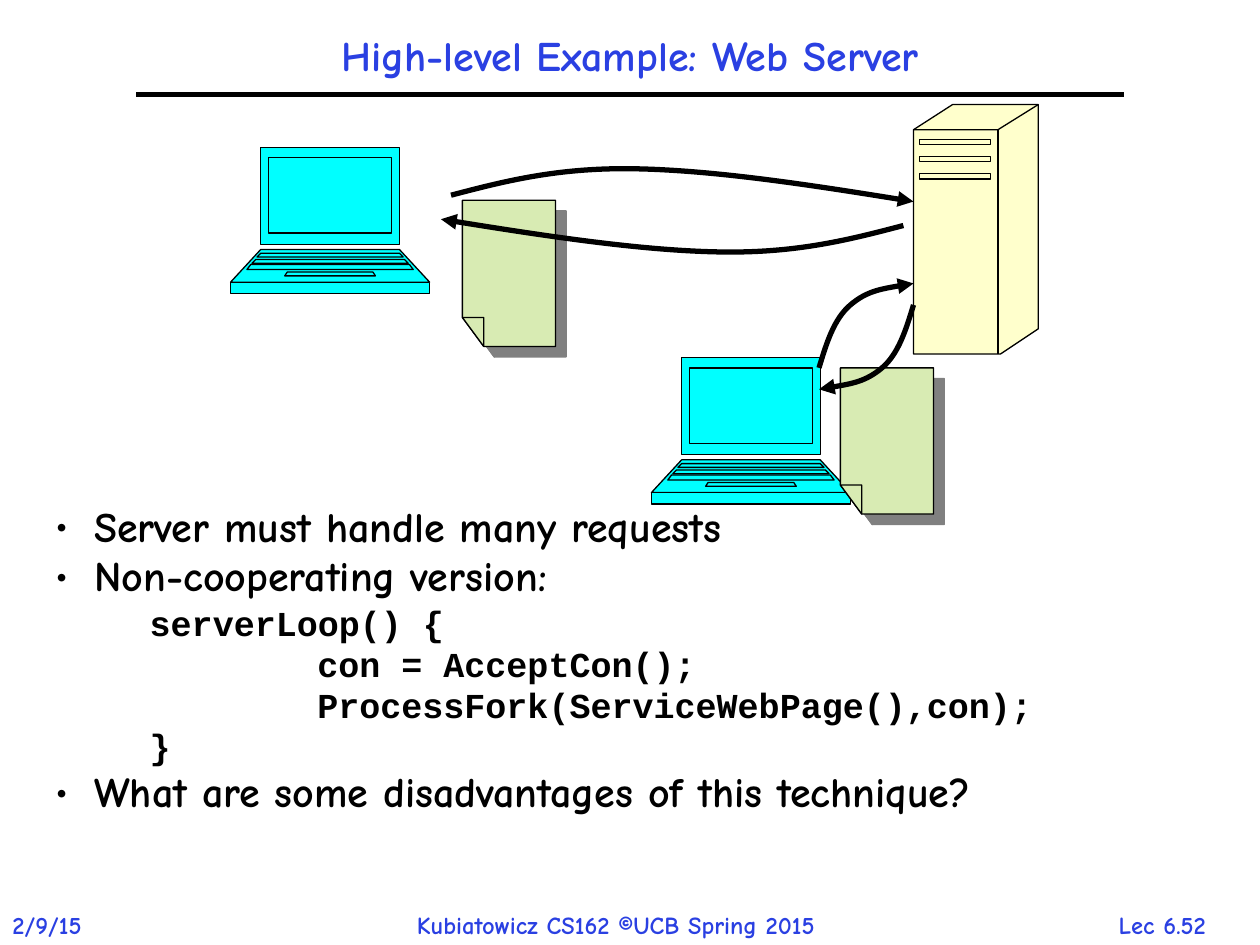
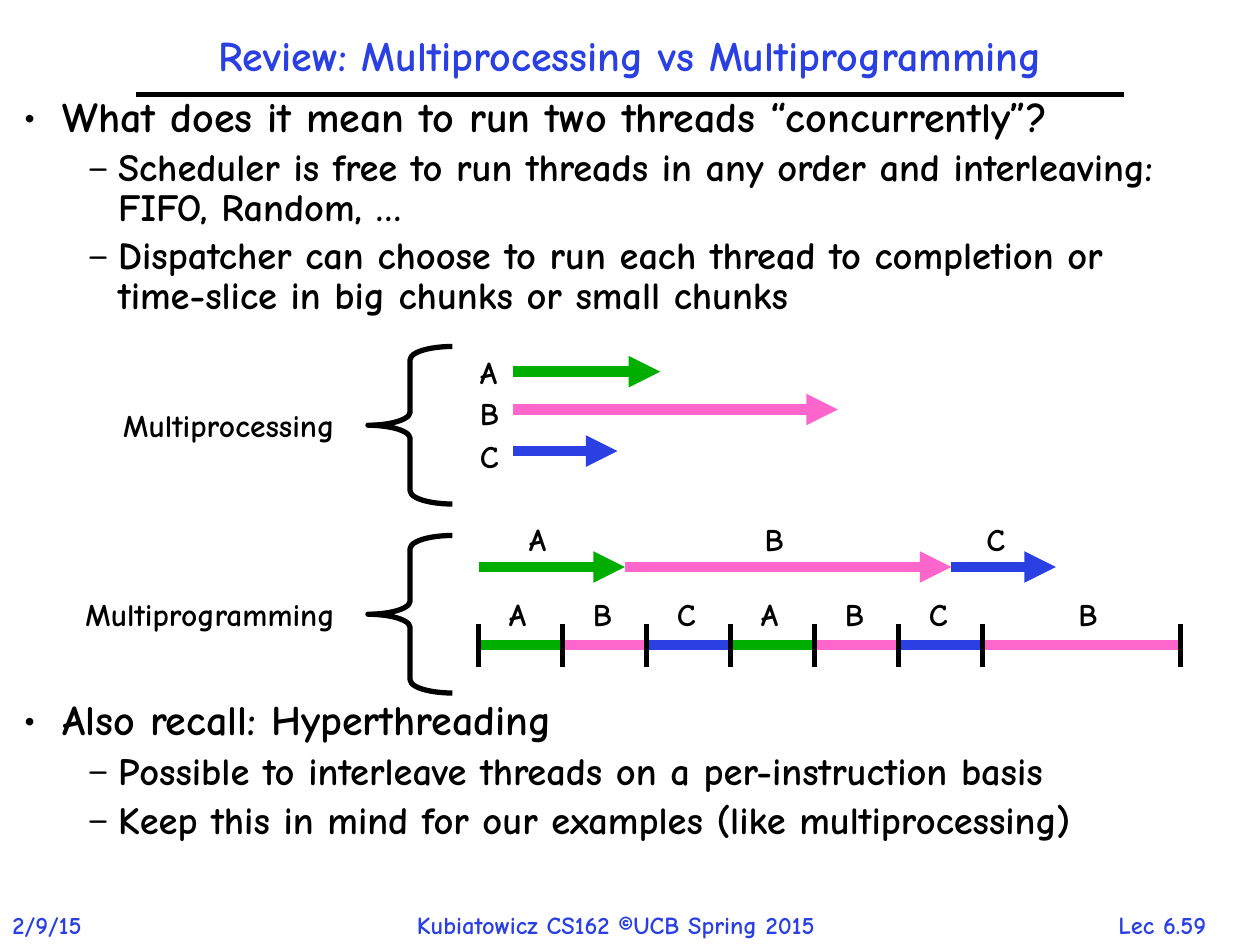
from dataclasses import dataclass

from pptx import Presentation
from pptx.dml.color import RGBColor
from pptx.enum.shapes import MSO_CONNECTOR, MSO_SHAPE
from pptx.enum.text import MSO_ANCHOR, PP_ALIGN
from pptx.oxml.ns import qn
from pptx.oxml.xmlchemy import OxmlElement
from pptx.util import Inches, Pt

LEFT, CENTER = PP_ALIGN.LEFT, PP_ALIGN.CENTER
TOP, MIDDLE = MSO_ANCHOR.TOP, MSO_ANCHOR.MIDDLE
STRAIGHT, BRACE = MSO_CONNECTOR.STRAIGHT, MSO_SHAPE.LEFT_BRACE


@dataclass(frozen=True)
class Theme:
    ink: str = "000000"
    blue: str = "2A40E2"
    green: str = "00AE00"
    pink: str = "FF66CC"
    cyan: str = "00FFFF"
    cream: str = "FFFFCC"
    leaf: str = "D8EBB3"
    shade: str = "808080"
    font: str = "Comic Neue"
    mono: str = "Courier New"
    head: int = 24
    sub: int = 22
    code: int = 20
    label: int = 18
    foot: int = 14
    thin: float = 0.75
    bold: float = 3
    bar: float = 6


T = Theme()
THREADS = {"A": T.green, "B": T.pink, "C": T.blue}

BULLET = dict(margin=0.31, hang=0.31, mark="•")
DASH = dict(margin=0.75, hang=0.25, mark="–", size=T.sub)
CODE = dict(margin=0.75, hang=0, mark=None, font=T.mono, size=T.code, gap=4.2)
INNER = CODE | dict(margin=2.08)


def node(parent, tag, **attrs):
    item = OxmlElement(tag)
    for key, value in attrs.items():
        item.set(key, str(value))
    parent.append(item)
    return item


def format_para(para, text, size=T.label, font=T.font, color=T.ink, align=LEFT,
                lines=None, gap=0, margin=0, hang=0, mark=None):
    para.alignment = align
    para.space_before = Pt(gap)
    if lines:
        para.line_spacing = lines
    run = para.add_run()
    run.text = text
    run.font.size, run.font.name, run.font.bold = Pt(size), font, True
    run.font.color.rgb = RGBColor.from_string(color)
    props = para._p.get_or_add_pPr()
    props.set("marL", str(Inches(margin)))
    props.set("indent", str(-Inches(hang)))
    if mark:
        node(props, "a:buFont", typeface=font)
        node(props, "a:buChar", char=mark)
    else:
        node(props, "a:buNone")


def write(slide, box, *paras, wrap=False, anchor=TOP, **fmt):
    """Add a text box; each item is a string or a (string, format) pair."""
    frame = slide.shapes.add_textbox(*map(Inches, box)).text_frame
    frame.word_wrap, frame.vertical_anchor = wrap, anchor
    for i, item in enumerate(paras):
        text, own = (item, {}) if isinstance(item, str) else item
        para = frame.add_paragraph() if i else frame.paragraphs[0]
        format_para(para, text, **(fmt | own))


def stroke(shape, color, width, arrow=False):
    shape.line.color.rgb = RGBColor.from_string(color)
    shape.line.width = Pt(width)
    if arrow:
        node(shape._element.spPr.find(qn("a:ln")), "a:tailEnd", type="triangle")


def link(slide, x1, y1, x2, y2, color=T.ink, width=T.bold, arrow=False):
    line = slide.shapes.add_connector(STRAIGHT, *map(Inches, (x1, y1, x2, y2)))
    stroke(line, color, width, arrow)
    node(line._element.spPr, "a:effectLst")


def trace(slide, x, y, rings, edges=()):
    """Draw closed rings and open edges, all relative to (x, y)."""
    pen = None
    for points in (*rings, *edges):
        spots = [(Inches(x + dx), Inches(y + dy)) for dx, dy in points]
        if pen:
            pen.move_to(*spots[0])
        else:
            pen = slide.shapes.build_freeform(*spots[0])
        pen.add_line_segments(spots[1:], close=points in rings)
    shape = pen.convert_to_shape()
    shape.shadow.inherit = False
    return shape, next(shape._element.iter(qn("a:path")))


def outline(slide, x, y, fill, rings, edges=()):
    """Give each contour a path of its own, so that overlaps stay filled."""
    shape, whole = trace(slide, x, y, rings, edges)
    group = whole.getparent()
    for step in list(whole):
        if step.tag == qn("a:moveTo"):
            part = node(group, "a:path", w=whole.get("w"), h=whole.get("h"))
        part.append(step)
    group.remove(whole)
    for part in list(group)[len(rings):]:
        part.set("fill", "none")
    shape.fill.solid()
    shape.fill.fore_color.rgb = RGBColor.from_string(fill)
    stroke(shape, T.ink, T.thin)
    return shape


def curve(slide, box, points, turn=False):
    """Draw a curved arrow, turned half round in its box on request."""
    x, y, w, h = box
    if turn:
        points = [(w - px, h - py) for px, py in points]
    shape, path = trace(slide, x, y, [], [points])
    steps = list(path)[1:]
    for i in range(0, len(steps), 3):
        cubic = node(path, "a:cubicBezTo")
        for step in steps[i:i + 3]:
            cubic.append(step[0])
            path.remove(step)
    shape.fill.background()
    stroke(shape, T.ink, T.bold, True)


def laptop(slide, x, y):
    mid = 0.79
    # top, bottom, half width at top, half width at bottom
    parts = [(0, 0.77, 0.55, 0.55), (0.81, 1.07, 0.55, 0.79),
             (1.07, 1.16, 0.79, 0.79), (0.08, 0.68, 0.49, 0.49),
             (0.84, 0.87, 0.55, 0.58), (0.99, 1.02, 0.34, 0.36),
             (0.89, 0.92, 0.59, 0.62), (0.93, 0.97, 0.63, 0.66)]
    outline(slide, x, y, T.cyan,
            [[(mid - a, top), (mid + a, top), (mid + b, base), (mid - b, base)]
             for top, base, a, b in parts])


def server(slide, x, y):
    case = [(0, 0.2), (0.31, 0), (0.99, 0), (0.99, 1.78), (0.69, 1.98), (0, 1.98)]
    slots = [[(0.05, top), (0.61, top), (0.61, top + 0.04), (0.05, top + 0.04)]
             for top in (0.28, 0.41, 0.55)]
    edges = [[(0, 0.2), (0.67, 0.2), (0.99, 0)], [(0.67, 0.2), (0.67, 1.98)]]
    outline(slide, x, y, T.cream, [case, *slots], edges)


def page(slide, x, y):
    w, h, fold, rise = 0.74, 1.16, 0.17, 0.93
    sheet = outline(slide, x, y, T.leaf,
                    [[(0, 0), (w, 0), (w, h), (fold, h), (0, rise)],
                     [(0, rise), (fold, rise), (fold, h)]])
    effects = sheet._element.spPr.find(qn("a:effectLst"))
    cast = node(effects, "a:outerShdw", blurRad=0, dist=Pt(8.5),
                dir=45 * 60000, algn="ctr", rotWithShape=0)
    node(cast, "a:srgbClr", val=T.shade)


def base(deck, title, number):
    """Add a slide with its title, rule and footer."""
    slide = deck.slides.add_slide(deck.slide_layouts[6])
    foot = dict(size=T.foot, color=T.blue)
    write(slide, (8.62, 7.17, 1.21, 0.33), f"Lec {number}", align=CENTER, **foot)
    write(slide, (0, 7.17, 0.88, 0.33), "2/9/15", **foot)
    write(slide, (3.21, 7.17, 3.87, 0.33),
          "Kubiatowicz CS162 ©UCB Spring 2015", **foot)
    link(slide, 1.08, 0.75, 8.92, 0.75)
    write(slide, (1.08, 0.17, 7.84, 0.58), title, wrap=True, anchor=MIDDLE,
          align=CENTER, lines=0.9, size=T.head, color=T.blue)
    return slide


def body(slide, box, *paras, **fmt):
    write(slide, box, *paras, wrap=True, **(BULLET | dict(size=T.head) | fmt))


def web(deck):
    slide = base(deck, "High-level Example: Web Server", "6.52")
    body(slide, (0.34, 4, 8.66, 3.08),
         "Server must handle many requests",
         "Non-cooperating version:",
         ("serverLoop() {", CODE | dict(gap=5.6)),
         ("con = AcceptCon();", INNER),
         ("ProcessFork(ServiceWebPage(),con);", INNER),
         ("}", CODE),
         "What are some disadvantages of this technique?",
         lines=0.8, gap=5.2)
    far = [(0, 0.22), (0.42, 0.11), (0.84, 0), (1.45, 0.01),
           (2.06, 0.02), (2.87, 0.14), (3.67, 0.27)]
    near = [(0, 0.67), (0.06, 0.47), (0.12, 0.28), (0.25, 0.17),
            (0.38, 0.06), (0.56, 0.03), (0.75, 0)]
    server(slide, 7.25, 0.83)
    laptop(slide, 1.83, 1.17)
    curve(slide, (3.58, 1.33, 3.67, 0.26), far)
    page(slide, 3.67, 1.59)
    laptop(slide, 5.17, 2.84)
    curve(slide, (6.5, 2.25, 0.75, 0.67), near)
    page(slide, 6.67, 2.92)
    curve(slide, (6.5, 2.42, 0.75, 0.67), near, turn=True)
    curve(slide, (3.5, 1.75, 3.67, 0.26), far, turn=True)


def brace(slide, x, y, name, left, width):
    shape = slide.shapes.add_shape(BRACE, *map(Inches, (x, y, 0.67, 1.25)))
    shape.adjustments[0] = 0.156
    shape.shadow.inherit = False
    shape.fill.background()
    stroke(shape, T.ink, T.bold)
    write(slide, (left, y + 0.42, width, 0.4), name)


def tag(slide, left, top, name):
    write(slide, (left, top, 0.36, 0.4), name)


def stack(slide, x, y):
    """Threads that run side by side, one row each."""
    rows = [("A", 0, 0.2, 1.17), ("B", 0.33, 0.5, 2.58), ("C", 0.67, 0.83, 0.83)]
    for name, top, mid, size in rows:
        tag(slide, x, y + top, name)
        link(slide, x + 0.36, y + mid, x + 0.36 + size, y + mid,
             THREADS[name], T.bar, True)


def chain(slide, x, y):
    """Threads that run one after another to completion."""
    for name, size, inset in (("A", 1.16, 0.3), ("B", 2.59, 1.01), ("C", 0.83, 0.18)):
        link(slide, x, y, x + size, y, THREADS[name], T.bar, True)
        tag(slide, x + inset, y - 0.42, name)
        x += size


def slices(slide, x, y):
    """Threads that take turns, with a tick at each switch."""
    step, last = 2 / 3, 1.57
    ticks = [x + step * i for i in range(7)] + [x + step * 6 + last]
    insets = [0.14] * 6 + [0.66]
    for name, left, right, inset in zip("ABCABCB", ticks, ticks[1:], insets):
        link(slide, left, y, right, y, THREADS[name], T.bar)
        tag(slide, left + inset, y - 0.45, name)
    for tick in ticks:
        link(slide, tick, y - 0.17, tick, y + 0.17)


def review(deck):
    slide = base(deck, "Review: Multiprocessing vs Multiprogramming", "6.59")
    fmt = dict(lines=0.85, gap=5.4)
    body(slide, (0.09, 0.73, 9.53, 1.9),
         "What does it mean to run two threads “concurrently”?",
         ("Scheduler is free to run threads in any order and interleaving: "
          "FIFO, Random, …", DASH),
         ("Dispatcher can choose to run each thread to completion or "
          "time-slice in big chunks or small chunks", DASH), **fmt)
    body(slide, (0.09, 5.52, 9.53, 1.3),
         "Also recall: Hyperthreading",
         ("Possible to interleave threads on a per-instruction basis", DASH),
         ("Keep this in mind for our examples (like multiprocessing)", DASH),
         **fmt)
    chain(slide, 3.8, 4.5)
    slices(slide, 3.8, 5.12)
    brace(slide, 2.92, 4.25, "Multiprogramming", 0.58, 2.3)
    stack(slide, 3.71, 2.75)
    brace(slide, 2.92, 2.75, "Multiprocessing", 0.88, 2.04)


def main():
    deck = Presentation()
    deck.slide_width, deck.slide_height = Inches(10), Inches(7.5)
    web(deck)
    review(deck)
    deck.save("out.pptx")


if __name__ == "__main__":
    main()
